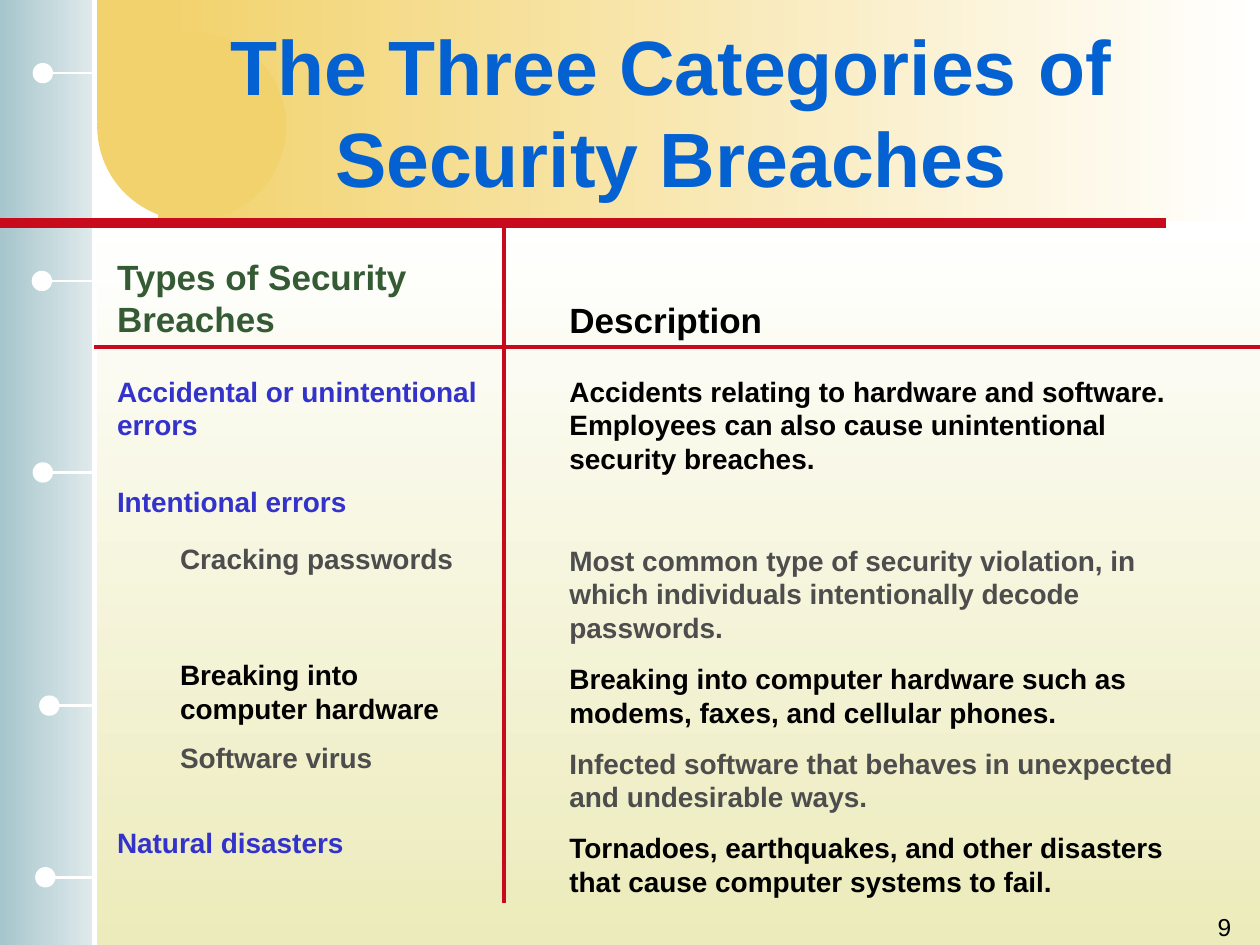
from pptx import Presentation
from pptx.dml.color import RGBColor
from pptx.enum.shapes import MSO_CONNECTOR as Link, MSO_SHAPE as Form
from pptx.enum.text import MSO_ANCHOR as Anchor, MSO_AUTO_SIZE as Fit, PP_ALIGN as Align
from pptx.oxml.ns import qn
from pptx.util import Cm, Pt
from lxml.etree import SubElement

WHITE, GOLD, RED = "FFFFFF", "F2D26C", "C70B1D"
BLUE, GREY, BLACK = "3333CC", "4D4D4D", "000000"
WIDE, HIGH = 25.4, 19.05
STEP = 1.27


def tint(code):
    return RGBColor.from_string(code)


def block(slide, form, x, y, w, h, *hues, angle=0):
    shape = slide.shapes.add_shape(form, Cm(x), Cm(y), Cm(w), Cm(h))
    shape.shadow.inherit = False
    shape.line.fill.background()
    if len(hues) == 1:
        shape.fill.solid()
        shape.fill.fore_color.rgb = tint(hues[0])
    else:
        shape.fill.gradient()
        shape.fill.gradient_angle = angle
        for stop, hue in zip(shape.fill.gradient_stops, hues):
            stop.color.rgb = tint(hue)


def rule(slide, x1, y1, x2, y2, hue, width):
    line = slide.shapes.add_connector(Link.STRAIGHT, Cm(x1), Cm(y1), Cm(x2), Cm(y2))
    line.line.color.rgb = tint(hue)
    line.line.width = Pt(width)
    SubElement(line._element.spPr, qn("a:effectLst"))


def write(slide, x, y, w, h, text, size, hue, bold=True, align=Align.LEFT,
          anchor=Anchor.TOP, wrap=True, fit=Fit.SHAPE_TO_FIT_TEXT, indent=0):
    frame = slide.shapes.add_textbox(Cm(x), Cm(y), Cm(w), Cm(h)).text_frame
    frame.text = text
    frame.word_wrap = wrap
    frame.auto_size = fit
    frame.vertical_anchor = anchor
    for para in frame.paragraphs:
        para.alignment = align
        if indent:
            para._p.get_or_add_pPr().set("marL", str(Cm(indent)))
        for run in para.runs:
            run.font.name = "Arial"
            run.font.size = Pt(size)
            run.font.bold = bold
            run.font.color.rgb = tint(hue)
    return frame


def draw_back(slide, x, y, w, h):
    block(slide, Form.RECTANGLE, x + 1.85, y + 4.5, w - 1.85, h - 4.5,
          WHITE, "ECEBBB", angle=270)
    block(slide, Form.RECTANGLE, x, y, 1.9, h, "A6C5CC", "E0EAEC")
    block(slide, Form.RECTANGLE, x + 3.18, y, w - 3.18, 4.45, GOLD, WHITE)
    block(slide, Form.OVAL, x + 1.96, y + 0.64, 3.81, 3.81, GOLD)
    block(slide, Form.RECTANGLE, x + 1.96, y, 1.7, 2.44, GOLD)


def draw_rail(slide, x, y, w, h):
    rule(slide, x + w, y, x + w, y + h, WHITE, 3)
    dot = 0.41
    pins = [(0.66, 1.27, w), (0.64, 5.46, 2.97), (0.66, 9.32, w),
            (0.79, 14.02, w), (0.71, 17.48, w)]
    for left, top, end in pins:
        mid = y + top + dot / 2
        rule(slide, x + end, mid, x + left + dot / 2, mid, WHITE, 1.5)
        block(slide, Form.OVAL, x + left, y + top, dot, dot, WHITE)


def draw_title(slide, x, y, w, h):
    write(slide, x, y, w, h, "The Three Categories of Security Breaches", 44, "0461D2",
          align=Align.CENTER, anchor=Anchor.MIDDLE, fit=Fit.NONE)


def draw_types(slide, x, y, w):
    write(slide, x, y, 6.6, 1.96, "Types of Security\nBreaches", 20, "355B35", wrap=False)
    rows = [
        ("Accidental or unintentional errors", 0, 2.39, 0, BLUE),
        ("Intentional errors", 0, 4.62, 0, BLUE),
        ("Cracking passwords", 0, 5.77, STEP, GREY),
        ("Breaking into computer hardware", -STEP, 8.1, 2 * STEP, BLACK),
        ("Software virus", -STEP, 9.78, 2 * STEP, GREY),
        ("Natural disasters", -STEP, 11.48, STEP, BLUE),
    ]
    for text, left, top, indent, hue in rows:
        write(slide, x + left, y + top, w, 0.94, text, 16, hue, indent=indent)


def draw_notes(slide, x, y, w, h):
    write(slide, x, y, 4.39, 1.12, "Description", 20, BLACK, wrap=False)
    notes = [
        ("Accidents relating to hardware and software. "
         "Employees can also cause unintentional security breaches.", BLACK, 0),
        ("Most common type of security violation, in which individuals "
         "intentionally decode passwords.", GREY, 39),
        ("Breaking into computer hardware such as modems, faxes, "
         "and cellular phones.", BLACK, 10),
        ("Infected software that behaves in unexpected "
         "and undesirable ways.", GREY, 10),
        ("Tornadoes, earthquakes, and other disasters "
         "that cause computer systems to fail.", BLACK, 10),
    ]
    frame = write(slide, x, y + 1.53, w, h - 1.53,
                  "\n".join(note[0] for note in notes), 16, BLACK)
    for para, (_, hue, gap) in zip(frame.paragraphs, notes):
        para.space_before = Pt(gap)
        para.runs[0].font.color.rgb = tint(hue)


def draw_rules(slide, x, y, w, h):
    rule(slide, x, y + 2.54, x + w, y + 2.54, RED, 2.25)
    rule(slide, x + 8.26, y, x + 8.26, y + h, RED, 2.25)


def main():
    deck = Presentation()
    deck.slide_width, deck.slide_height = Cm(WIDE), Cm(HIGH)
    slide = deck.slides.add_slide(deck.slide_layouts[6])
    draw_back(slide, 0, 0, WIDE, HIGH)
    draw_rail(slide, 0, 0, 1.9, HIGH)
    rule(slide, 0, 4.5, 23.5, 4.5, RED, 6)
    draw_title(slide, 2.74, 0.64, 21.59, 3.18)
    draw_types(slide, 2.11, 5.03, 9.32)
    draw_notes(slide, 11.23, 5.89, 13.54, 12.35)
    draw_rules(slide, 1.9, 4.45, 23.5, 13.76)
    write(slide, 19.79, 18.26, 5.28, 1.27, "9", 14, BLACK, bold=False,
          align=Align.RIGHT, fit=Fit.NONE)
    deck.save("out.pptx")


if __name__ == "__main__":
    main()
